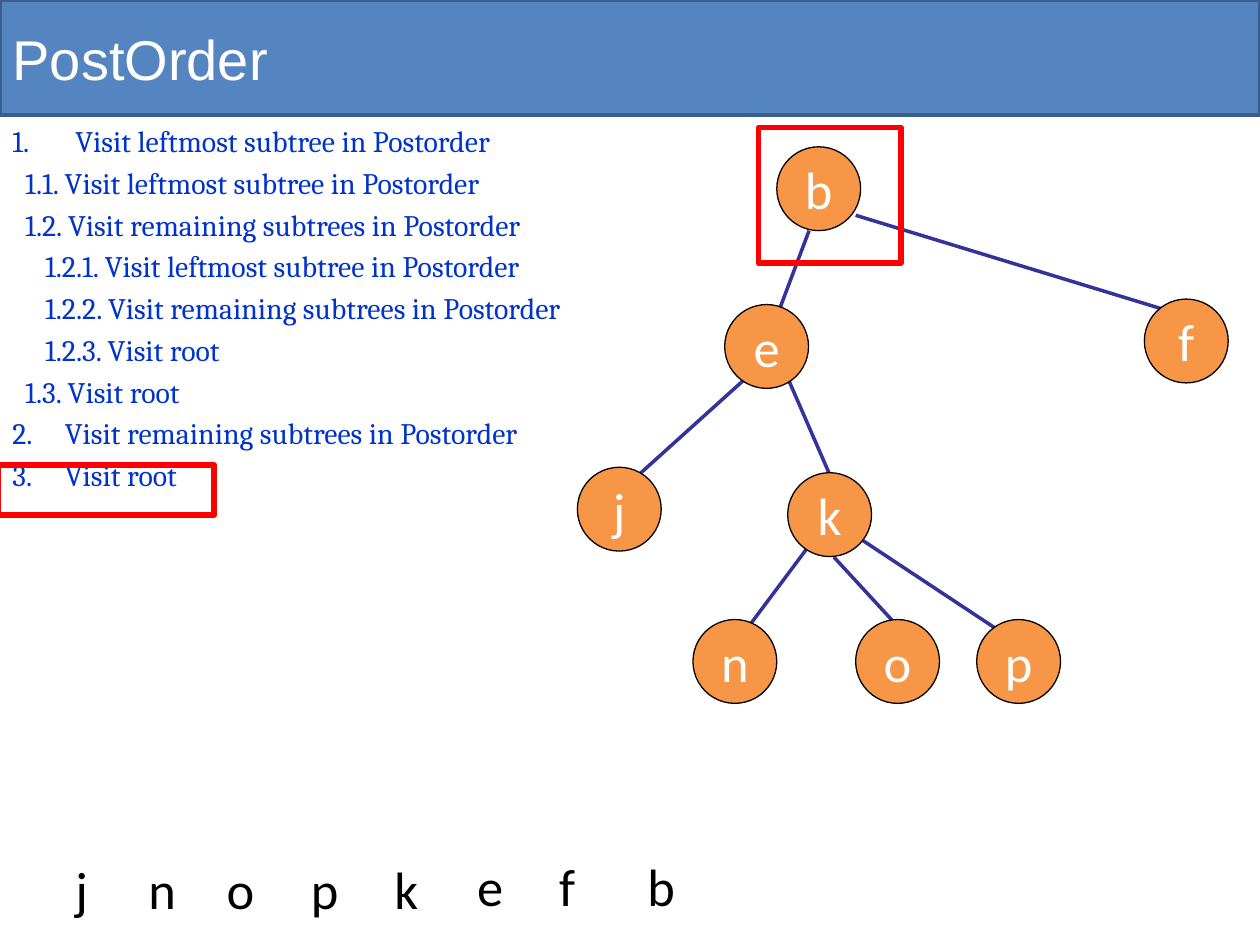
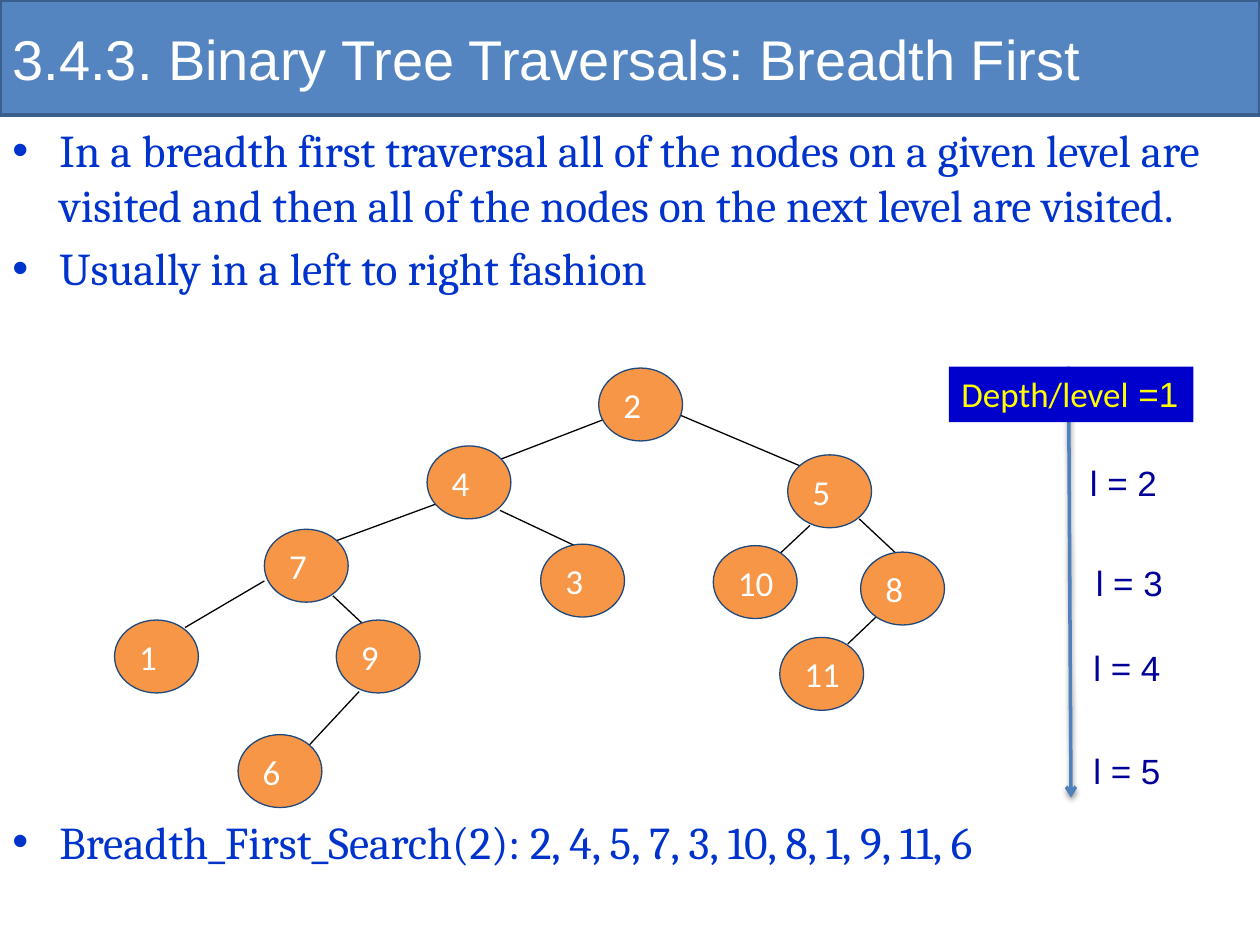
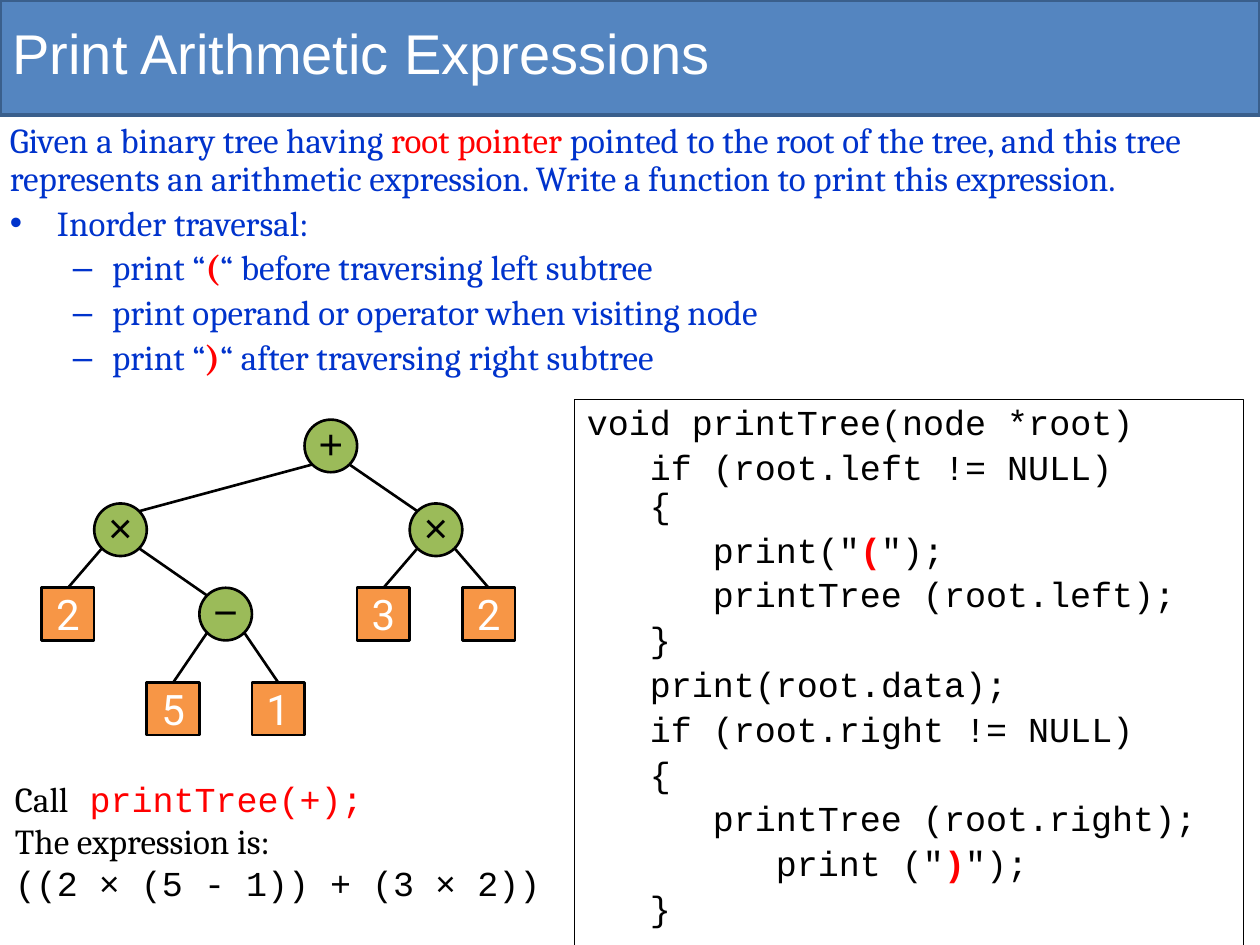
import math
from dataclasses import dataclass

import pptx
import pptx.dml.color
import pptx.enum.shapes
import pptx.enum.text
import pptx.oxml
import pptx.oxml.ns
import pptx.util

Cm = pptx.util.Cm
Pt = pptx.util.Pt
SHAPE = pptx.enum.shapes.MSO_SHAPE
ALIGN = pptx.enum.text.PP_ALIGN
ANCHOR = pptx.enum.text.MSO_ANCHOR


@dataclass(frozen=True)
class Theme:
    band: str = "5485C0"
    band_line: str = "3A5F8C"
    white: str = "FFFFFF"
    black: str = "000000"
    body: str = "0033CC"
    red: str = "FF0000"
    node: str = "F79646"
    operator: str = "9BBB59"
    edge: str = "333399"
    node_line: str = "1F497D"
    arrow: str = "4F81BD"
    badge: str = "0000CC"
    badge_text: str = "FFFF00"
    level: str = "000099"
    sans: str = "Arial"
    serif: str = "Cambria"
    label: str = "Calibri"
    digit: str = "Roboto"
    mono: str = "Courier New"
    title_size: int = 32
    letter_size: int = 30
    bullet_size: int = 26
    symbol_size: int = 24
    text_size: int = 20
    list_size: int = 17
    para_gap: float = 0.2  # space before a paragraph, as a share of its size


T = Theme()


@dataclass
class Para:
    """Runs are a string, or (text, overrides) pairs; lengths are in cm."""
    runs: object
    indent: float = 0
    hang: float = 0
    bullet: str = ""
    number: int = 0


# Shared helpers

def rgb(value):
    return pptx.dml.color.RGBColor.from_string(value)


def sub(parent, xml):
    """Append a DrawingML element written without its namespace."""
    head, rest = xml.split(" ", 1)
    ns = pptx.oxml.ns.nsdecls("a")
    parent.append(pptx.oxml.parse_xml(f"{head} {ns} {rest}"))


def text(sp, paras, font=T.label, size=T.text_size, color=T.white,
         align=ALIGN.LEFT, anchor=ANCHOR.TOP, wrap=True, gap=0, spacing=None):
    tf = sp.text_frame
    tf.auto_size = pptx.enum.text.MSO_AUTO_SIZE.NONE
    tf.word_wrap = wrap
    tf.vertical_anchor = anchor
    if isinstance(paras, str):
        paras = [Para(paras)]
    for i, para in enumerate(paras):
        p = tf.add_paragraph() if i else tf.paragraphs[0]
        p.alignment = align
        if i:
            p.space_before = Pt(round(gap * size, 1))
        if spacing:
            p.line_spacing = spacing
        pPr = p._p.get_or_add_pPr()
        pPr.set("marL", str(Cm(para.indent)))
        pPr.set("indent", str(-Cm(para.hang)))
        if para.bullet:
            sub(pPr, f'<a:buFont typeface="{T.sans}"/>')
            sub(pPr, f'<a:buChar char="{para.bullet}"/>')
        elif para.number:
            sub(pPr, f'<a:buAutoNum type="arabicPeriod" startAt="{para.number}"/>')
        runs = [(para.runs, {})] if isinstance(para.runs, str) else para.runs
        for words, over in runs:
            if words == "\n":
                p.add_line_break()
                continue
            r = p.add_run()
            r.text = words
            r.font.name = over.get("font", font)
            r.font.size = Pt(size)
            r.font.bold = over.get("bold", False)
            r.font.color.rgb = rgb(over.get("color", color))


def text_box(s, box, paras, **fmt):
    sp = s.shapes.add_textbox(*map(Cm, box))
    text(sp, paras, **fmt)
    return sp


def shape(s, kind, box, fill=None, line=None, width=0.75):
    sp = s.shapes.add_shape(kind, *map(Cm, box))
    sp.shadow.inherit = False
    if fill:
        sp.fill.solid()
        sp.fill.fore_color.rgb = rgb(fill)
    else:
        sp.fill.background()
    if line:
        sp.line.color.rgb = rgb(line)
        sp.line.width = Pt(width)
    else:
        sp.line.fill.background()
    return sp


def connector(s, start, end, color, width):
    cx = s.shapes.add_connector(pptx.enum.shapes.MSO_CONNECTOR.STRAIGHT,
                                *map(Cm, (*start, *end)))
    cx.line.color.rgb = rgb(color)
    cx.line.width = Pt(width)
    sub(cx._element.spPr, "<a:effectLst />")
    return cx


def add_band(s):
    """Draw the title band and hand it to the layout all slides use."""
    band = shape(s, SHAPE.RECTANGLE, (0, 0, 25.4, 2.32), T.band, T.band_line, 2)
    s.slide_layout.shapes._spTree.insert(2, band._element)


def titled_slide(prs, title, box=(0, 0, 25.4, 2.34)):
    s = prs.slides.add_slide(prs.slide_layouts[5])
    sp = s.shapes.title
    sp.left, sp.top, sp.width, sp.height = map(Cm, box)
    text(sp, title, font=T.sans, size=T.title_size, anchor=ANCHOR.MIDDLE)
    return s


def tree(s, box, nodes, edges, node_size, edge_color, edge_width, node_line, **fmt):
    """Edges and oval nodes, in cm from the top left of the box."""
    x, y = box[:2]
    for x1, y1, x2, y2 in edges:
        connector(s, (x + x1, y + y1), (x + x2, y + y2), edge_color, edge_width)
    for name, (dx, dy) in nodes.items():
        sp = shape(s, SHAPE.OVAL, (x + dx, y + dy, *node_size), T.node, node_line)
        text(sp, name, anchor=ANCHOR.MIDDLE, wrap=False, **fmt)


# Slide 1: postorder

def visit_order(s, box):
    x, y, w, h = box
    lefts = {"j": 0, "n": 1.47, "o": 3.05, "p": 4.75, "k": 6.43,
             "e": 8.1, "f": 9.75, "b": 11.53}
    for name, dx in lefts.items():
        drop = 0 if name in "efb" else 0.06
        text_box(s, (x + dx, y + drop, 1.4, h), name,
                 size=T.letter_size, color=T.black)


def postorder_slide(prs):
    s = titled_slide(prs, "PostOrder")
    add_band(s)
    leftmost = "Visit leftmost subtree in Postorder"
    remaining = "Visit remaining subtrees in Postorder"
    root = "Visit root"
    steps = [
        Para(leftmost, 1.27, 1.27, number=1),
        Para(f"1.1. {leftmost}", 0.26),
        Para(f"1.2. {remaining}", 0.26),
        Para(f"1.2.1. {leftmost}", 0.66),
        Para(f"1.2.2. {remaining}", 0.66),
        Para(f"1.2.3. {root}", 0.66),
        Para(f"1.3. {root}", 0.26),
        Para(remaining, 1.06, 1.06, number=2),
        Para(root, 1.06, 1.06, number=3),
    ]
    text_box(s, (0, 2.36, 12.5, 8), steps, font=T.serif, size=T.list_size,
             color=T.body, gap=T.para_gap)

    nodes = {"b": (4.02, 0), "e": (2.97, 3.18), "f": (11.43, 3.07),
             "j": (0, 6.46), "k": (4.24, 6.57), "n": (2.33, 9.53),
             "o": (5.61, 9.53), "p": (8.05, 9.53)}
    edges = [
        (4.67, 1.69, 4.03, 3.39), (5.61, 1.38, 11.86, 3.29),
        (3.4, 4.66, 1.26, 6.59), (4.24, 4.66, 5.07, 6.57),
        (4.67, 8.04, 3.4, 9.74), (5.17, 8.27, 6.34, 9.54),
        (5.76, 7.94, 8.48, 9.74),
    ]
    tree(s, (11.64, 2.96, 13.13, 11.23), nodes, edges, (1.69, 1.69), T.edge, 2,
         T.black, size=T.letter_size, align=ALIGN.CENTER)

    # Current node and current step
    for frame in ((15.29, 2.57, 2.87, 2.74), (-0.03, 9.37, 4.34, 1.02)):
        shape(s, SHAPE.RECTANGLE, frame, line=T.red, width=3.25)
    visit_order(s, (1.27, 17.09, 12.93, 1.55))


# Slide 2: breadth first

def level_scale(s, box):
    x, y, w, h = box
    arrow = connector(s, (x + 2.41, y), (x + 2.46, y + h), T.arrow, 2)
    sub(arrow.line._get_or_add_ln(), '<a:tailEnd type="arrow"/>')
    sub(arrow._element.spPr.find(pptx.oxml.ns.qn("a:effectLst")),
        '<a:outerShdw blurRad="39370" dist="20320" dir="5400000" rotWithShape="0">'
        '<a:srgbClr val="000000"><a:alpha val="38000"/></a:srgbClr></a:outerShdw>')
    badge = shape(s, SHAPE.RECTANGLE, (x, y, w, 1.12), T.badge)
    text(badge, [Para([("Depth/level", {}), (" =1", {"font": T.sans})])],
         color=T.badge_text, wrap=False)
    spots = [(2.59, 1.78), (2.71, 3.81), (2.66, 5.51), (2.66, 7.6)]
    for level, (dx, dy) in enumerate(spots, 2):
        text_box(s, (x + dx, y + dy, 3.2, 1.12), f"l = {level}",
                 font=T.sans, color=T.level)


def breadth_first_slide(prs):
    s = titled_slide(prs, "3.4.3. Binary Tree Traversals: Breadth First")
    points = [
        "In a breadth first traversal all of the nodes on a given level are "
        "visited and then all of the nodes on the next level are visited.",
        "Usually in a left to right fashion",
    ]
    result = ["Breadth_First_Search(2): 2, 4, 5, 7, 3, 10, 8, 1, 9, 11, 6"]
    for box, lines in (((0, 2.34, 25.4, 4.11), points),
                       ((0, 16.28, 25.4, 1.5), result)):
        text_box(s, box, [Para(line, 0.95, 0.95, "•") for line in lines],
                 font=T.serif, size=T.bullet_size, color=T.body, gap=T.para_gap)

    nodes = {"2": (9.76, 0), "4": (6.3, 1.57), "5": (13.57, 1.75),
             "7": (3.02, 3.25), "3": (8.59, 3.55), "10": (12.07, 3.58),
             "8": (15.04, 3.71), "1": (0, 5.08), "9": (4.47, 5.08),
             "11": (13.41, 5.43), "6": (2.49, 7.39)}
    edges = [
        (7.62, 1.9, 9.93, 1.01), (11.38, 0.94, 13.84, 1.98),
        (6.48, 2.74, 4.47, 3.48), (7.77, 2.87, 9.32, 3.6),
        (4.4, 4.59, 5.03, 5.18), (3.02, 4.29, 1.42, 5.23),
        (15.39, 4.98, 14.78, 5.56), (15.01, 3.04, 15.8, 3.78),
        (14.02, 3.17, 13.23, 3.91), (4.93, 6.52, 3.84, 7.69),
    ]
    tree(s, (2.31, 7.42, 16.73, 8.86), nodes, edges, (1.69, 1.47), T.black, 0.75,
         T.node_line)
    level_scale(s, (19.13, 7.39, 4.93, 8.69))


# Slide 3: arithmetic expressions

def expression_tree(s, box):
    """Operators are circles and operands squares, on a half-step grid."""
    x, y = box[:2]
    d = 1.06
    rows = (0, 1.69, 3.39, 5.3)
    # symbol, column, row, index of parent
    nodes = [("+", 5, 0, None), ("×", 1, 1, 0), ("×", 7, 1, 0), ("−", 3, 2, 1),
             ("2", 0, 2, 1), ("3", 6, 2, 2), ("2", 8, 2, 2),
             ("5", 2, 3, 3), ("1", 4, 3, 3)]
    reach = d / 2 * math.cos(math.pi / 4)
    centers = []
    for symbol, col, row, parent in nodes:
        left, top = x + col * d, y + rows[row]
        cx, cy = left + d / 2, top + d / 2
        centers.append((cx, cy))
        operand = symbol.isdigit()
        sp = shape(s, SHAPE.RECTANGLE if operand else SHAPE.OVAL,
                   (left, top, d, d), T.node if operand else T.operator,
                   T.black, 1.5)
        if not operand:
            tf = sp.text_frame
            tf.margin_left = tf.margin_right = tf.margin_top = 0
            tf.margin_bottom = Cm(0.13)
        text(sp, symbol, font=T.digit if operand else T.sans,
             size=T.symbol_size, color=T.white if operand else T.black,
             align=ALIGN.CENTER, anchor=ANCHOR.MIDDLE, wrap=False)
        if parent is None:
            continue
        px, py = centers[parent]
        side = math.copysign(reach, cx - px)
        edge = connector(s, (px + side, py + reach), (cx - side, cy - reach),
                         T.black, 1.5)
        if operand:
            edge.end_connect(sp, 0)


def code_listing(s, box):
    mark = {"color": T.red, "bold": True}
    lines = [
        (0, "void printTree(node *root)"),
        (1, [("if (root.left != NULL)", {}), ("\n", {}), ("{", {})]),
        (2, [('print("', {}), ("(", mark), ('");', {})]),
        (2, "printTree (root.left);"),
        (1, "}"),
        (1, "print(root.data);"),
        (1, "if (root.right != NULL)"),
        (1, "{"),
        (2, "printTree (root.right);"),
        (3, [('print ("', {}), (")", mark), ('");', {})]),
        (1, "}"),
    ]
    sp = text_box(s, box, [Para(runs, 1.27 * depth) for depth, runs in lines],
                  font=T.mono, color=T.black, gap=T.para_gap, spacing=0.9)
    sp.line.color.rgb = rgb(T.black)
    sp.line.width = Pt(0.75)


def expression_slide(prs):
    s = titled_slide(prs, "Print Arithmetic Expressions", (0, -0.2, 24.13, 2.5))
    red = {"color": T.red}
    mark = {"color": T.red, "bold": True}
    task = [
        Para([("Given a binary tree having ", {}), ("root pointer", red),
              (" pointed to the root of the tree, and this tree represents an "
               "arithmetic expression. Write a function to print this "
               "expression.", {})]),
        Para("Inorder traversal:", 0.95, 0.95, "•"),
    ]
    for runs in ([("print “", {}), ("(", mark),
                  ("“ before traversing left subtree", {})],
                 "print operand or operator when visiting node",
                 [("print “", {}), (")", mark),
                  ("“ after traversing right subtree", {})]):
        task.append(Para(runs, 2.06, 0.79, "–"))
    text_box(s, (-0.05, 2.36, 25.45, 5.92), task, font=T.serif, color=T.body,
             gap=T.para_gap, spacing=0.9)

    code_listing(s, (11.58, 8.05, 13.49, 11.2))
    call = [
        Para([("Call", {}), (" printTree(+);", {"font": T.mono, **red})]),
        Para("The expression is:"),
        Para([("((2 × (5 - 1)) + (3 × 2))", {"font": T.mono})]),
    ]
    text_box(s, (0.05, 15.54, 11.4, 2.82), call, font=T.serif, color=T.black)
    expression_tree(s, (0.84, 8.46, 9.54, 6.36))


def main():
    prs = pptx.Presentation()
    prs.slide_width, prs.slide_height = Cm(25.4), Cm(19.05)
    postorder_slide(prs)
    breadth_first_slide(prs)
    expression_slide(prs)
    prs.save("out.pptx")


if __name__ == "__main__":
    main()
